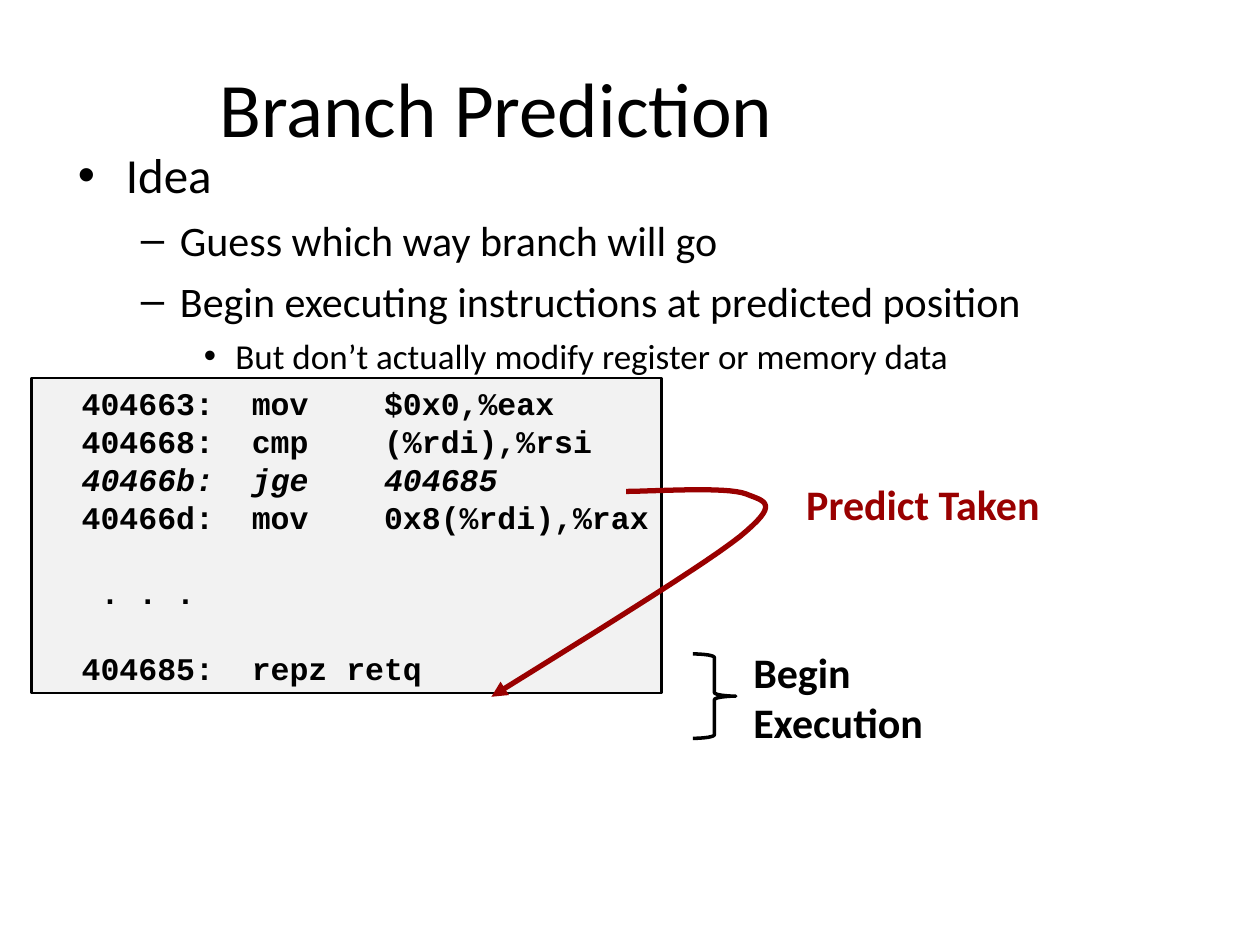
from dataclasses import dataclass

from lxml.etree import SubElement
from pptx import Presentation
from pptx.dml.color import RGBColor
from pptx.enum.shapes import MSO_SHAPE
from pptx.enum.text import MSO_ANCHOR, PP_ALIGN
from pptx.oxml.ns import qn
from pptx.util import Inches, Pt


@dataclass(frozen=True)
class Theme:
    """Fonts, type sizes and colours of the slide."""
    text_font: str = "Calibri"
    code_font: str = "Courier New"
    title_size: int = 44
    label_size: int = 24
    code_size: int = 18
    code_pitch: float = 21.6
    ink: str = "000000"
    accent: str = "990000"
    panel: str = "F2F2F2"


THEME = Theme()
TITLE = ("Branch Prediction", (0.6, 0.38, 6.68, 0.94))
OUTLINE_AREA = (0.52, 1.1, 9.09, 2.24)
OUTLINE = [
    (0, "Idea"),
    (1, "Guess which way branch will go"),
    (1, "Begin executing instructions at predicted position"),
    (2, "But don’t actually modify register or memory data"),
]
LEVELS = [
    {"size": 28, "margin": 0.38, "hang": 0.38, "before": 7, "bullet": "•"},
    {"size": 24, "margin": 0.81, "hang": 0.31, "before": 6, "bullet": "–"},
    {"size": 20, "margin": 1.25, "hang": 0.25, "before": 5, "bullet": "•"},
]
CODE_AREA = (0.25, 3, 5, 2.5)
CODE = [
    "  404663:  mov    $0x0,%eax",
    "  404668:  cmp    (%rdi),%rsi",
    "  40466b:  jge    404685",
    "  40466d:  mov    0x8(%rdi),%rax",
    "   . . .",
    "  404685:  repz retq",
]
JUMP_LINE = 2
LINES_AFTER_GAP = (4, 5)
LABELS = [
    (["Predict Taken"], (6.3, 3.75, 2.09, 0.5), THEME.accent),
    (["Begin", "Execution"], (5.88, 5.08, 1.55, 0.9), THEME.ink),
]
BRACE_AREA = (5.5, 5.19, 0.34, 0.67)
JUMP_START = (3.9, 5.53)
JUMP_CURVES = [
    ((4.23, 5.32), (5.53, 4.53), (5.87, 4.26)),
    ((6.2, 3.99), (6.07, 3.98), (5.92, 3.92)),
    ((5.77, 3.86), (5.17, 3.9), (4.97, 3.9)),
]
CURVE_STEPS = 16


def place(area):
    return [Inches(length) for length in area]


def add_span(para, text, size, color=THEME.ink, font=THEME.text_font, bold=False, italic=False):
    span = para.add_run()
    span.text = text
    span.font.name, span.font.size = font, Pt(size)
    span.font.bold, span.font.italic = bold, italic
    span.font.color.rgb = RGBColor.from_string(color)


def paragraphs(frame, count):
    return [frame.paragraphs[0]] + [frame.add_paragraph() for _ in range(count - 1)]


def add_box(page, area, wrap=True):
    frame = page.shapes.add_textbox(*place(area)).text_frame
    frame.word_wrap = wrap
    return frame


def style_line(shape, color, width):
    shape.shadow.inherit = False
    shape.line.color.rgb = RGBColor.from_string(color)
    shape.line.width = Pt(width)


def add_title(page):
    text, area = TITLE
    frame = add_box(page, area)
    frame.vertical_anchor = MSO_ANCHOR.MIDDLE
    para = frame.paragraphs[0]
    para.alignment = PP_ALIGN.CENTER
    add_span(para, text, THEME.title_size)


def add_outline(page):
    frame = add_box(page, OUTLINE_AREA)
    for index, para in enumerate(paragraphs(frame, len(OUTLINE))):
        depth, text = OUTLINE[index]
        level = LEVELS[depth]
        para.level = depth
        properties = para._p.get_or_add_pPr()
        properties.set("marL", str(Inches(level["margin"])))
        properties.set("indent", str(-Inches(level["hang"])))
        SubElement(properties, qn("a:buFont"), typeface="Arial")
        SubElement(properties, qn("a:buChar"), char=level["bullet"])
        if index:
            para.space_before = Pt(level["before"])
        add_span(para, text, level["size"])


def add_labels(page):
    for lines, area, color in LABELS:
        frame = add_box(page, area, wrap=False)
        for para, text in zip(paragraphs(frame, len(lines)), lines):
            add_span(para, text, THEME.label_size, color, bold=True)


def add_brace(page):
    brace = page.shapes.add_shape(MSO_SHAPE.RIGHT_BRACE, *place(BRACE_AREA))
    brace.fill.background()
    style_line(brace, THEME.ink, 2)


def add_code(page):
    panel = page.shapes.add_shape(MSO_SHAPE.RECTANGLE, *place(CODE_AREA))
    panel.fill.solid()
    panel.fill.fore_color.rgb = RGBColor.from_string(THEME.panel)
    style_line(panel, THEME.ink, 1.5)
    frame = panel.text_frame
    frame.word_wrap = False
    frame.vertical_anchor = MSO_ANCHOR.TOP
    for index, para in enumerate(paragraphs(frame, len(CODE))):
        para.alignment = PP_ALIGN.LEFT
        para.line_spacing = Pt(THEME.code_pitch)
        if index in LINES_AFTER_GAP:
            para.space_before = Pt(THEME.code_pitch)
        add_span(para, CODE[index], THEME.code_size, font=THEME.code_font,
                 bold=True, italic=index == JUMP_LINE)


def curve_points():
    points, start = [], JUMP_START
    for first, second, end in JUMP_CURVES:
        for step in range(1, CURVE_STEPS + 1):
            t = step / CURVE_STEPS
            weights = ((1 - t) ** 3, 3 * t * (1 - t) ** 2, 3 * t ** 2 * (1 - t), t ** 3)
            corners = (start, first, second, end)
            points.append(tuple(
                Inches(sum(weight * corner[axis] for weight, corner in zip(weights, corners)))
                for axis in (0, 1)))
        start = end
    return points


def add_jump(page):
    builder = page.shapes.build_freeform(*place(JUMP_START))
    builder.add_line_segments(curve_points(), close=False)
    jump = builder.convert_to_shape()
    jump.fill.background()
    style_line(jump, THEME.accent, 3)
    outline = jump.line._get_or_add_ln()
    SubElement(outline, qn("a:round"))
    SubElement(outline, qn("a:headEnd"), type="triangle")


def main():
    """Build the branch prediction slide."""
    deck = Presentation()
    deck.slide_width, deck.slide_height = Inches(10), Inches(7.5)
    page = deck.slides.add_slide(deck.slide_layouts[6])
    for add_part in (add_title, add_outline, add_labels, add_brace, add_code, add_jump):
        add_part(page)
    deck.save("out.pptx")


if __name__ == "__main__":
    main()
